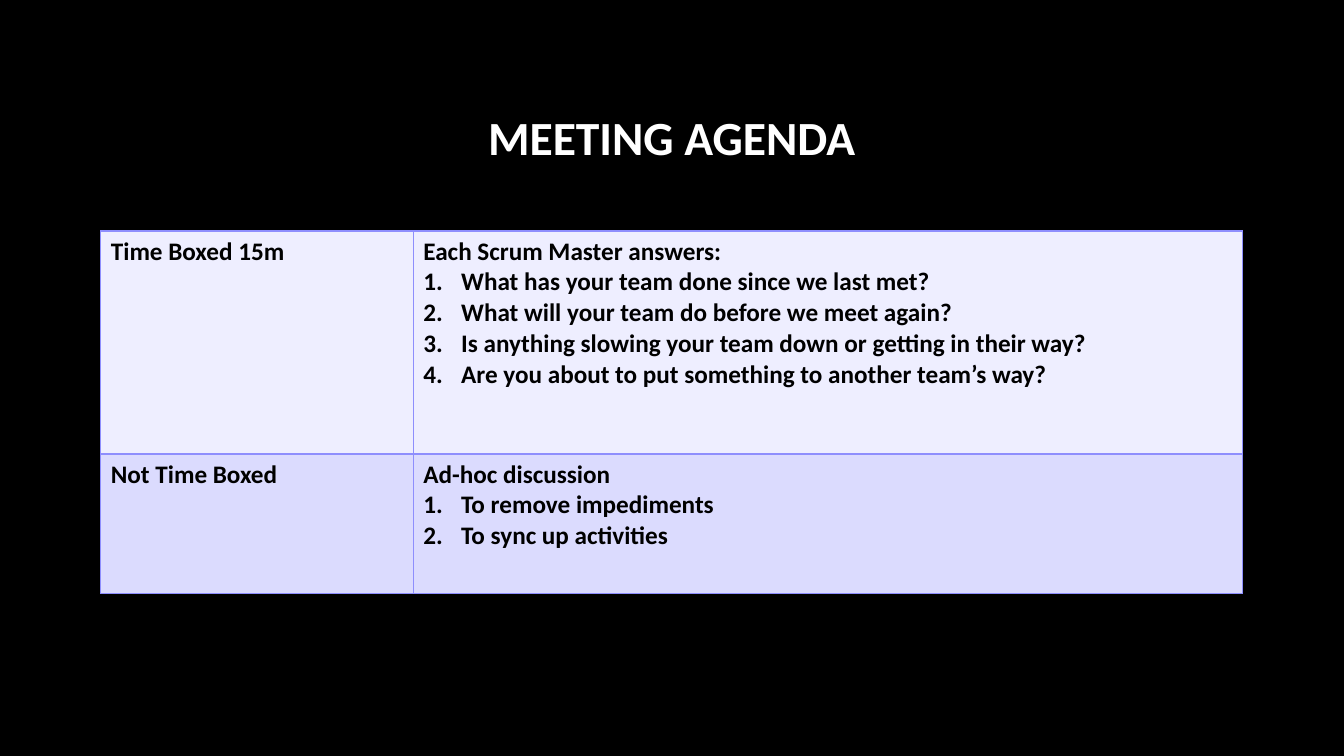
from lxml import etree
from pptx import Presentation
from pptx.dml.color import RGBColor
from pptx.enum import text
from pptx.oxml import ns
from pptx.util import Pt

COLORS = {
    "background": "000000",
    "title": "FFFFFF",
    "body": "000000",
    "border": "8E8EFD",
    "timed": "EEEEFF",
    "untimed": "DBDBFE",
}
FONT = "Calibri"
LEFT, WIDTH = 72, 815.5
COLUMN_WIDTHS = (223.2, 592.3)
AGENDA = [
    ("Time Boxed 15m", "Each Scrum Master answers:", [
        "What has your team done since we last met?",
        "What will your team do before we meet again?",
        "Is anything slowing your team down or getting in their way?",
        "Are you about to put something to another team’s way?",
    ], "timed", 159.3),
    ("Not Time Boxed", "Ad-hoc discussion", [
        "To remove impediments",
        "To sync up activities",
    ], "untimed", 99.7),
]


def style(paragraph, size, color):
    for run in paragraph.runs:
        run.font.name = FONT
        run.font.size = Pt(size)
        run.font.bold = True
        run.font.color.rgb = RGBColor.from_string(COLORS[color])


def add_borders(cell):
    """Outline all four sides; call before the fill, which must follow the lines."""
    properties = cell._tc.get_or_add_tcPr()
    for side in ("lnL", "lnR", "lnT", "lnB"):
        line = etree.SubElement(properties, ns.qn(f"a:{side}"), w=str(Pt(1)))
        fill = etree.SubElement(line, ns.qn("a:solidFill"))
        etree.SubElement(fill, ns.qn("a:srgbClr"), val=COLORS["border"])


prs = Presentation()
prs.slide_width, prs.slide_height = Pt(960), Pt(540)
slide = prs.slides.add_slide(prs.slide_layouts[6])
slide.background.fill.solid()
slide.background.fill.fore_color.rgb = RGBColor.from_string(COLORS["background"])

title = slide.shapes.add_textbox(Pt(LEFT), Pt(48), Pt(WIDTH), Pt(104.4)).text_frame
title.word_wrap = True
title.vertical_anchor = text.MSO_ANCHOR.MIDDLE
title.text = "MEETING AGENDA"
heading = title.paragraphs[0]
heading.alignment = text.PP_ALIGN.CENTER
heading.line_spacing = 0.9
style(heading, 34, "title")

table = slide.shapes.add_table(
    len(AGENDA), len(COLUMN_WIDTHS), Pt(LEFT), Pt(165), Pt(WIDTH), Pt(259)
).table
table.first_row = False
table.horz_banding = False
for column, width in zip(table.columns, COLUMN_WIDTHS):
    column.width = Pt(width)

for row, (timing, intro, items, fill, height) in enumerate(AGENDA):
    table.rows[row].height = Pt(height)
    for col, lines in enumerate(([timing], [intro, *items])):
        cell = table.cell(row, col)
        add_borders(cell)
        cell.fill.solid()
        cell.fill.fore_color.rgb = RGBColor.from_string(COLORS[fill])
        cell.text_frame.text = "\n".join(lines)
        for index, paragraph in enumerate(cell.text_frame.paragraphs):
            if index > 0:
                p_pr = paragraph._p.get_or_add_pPr()
                p_pr.set("marL", str(Pt(27)))
                p_pr.set("indent", str(Pt(-27)))
                etree.SubElement(p_pr, ns.qn("a:buFont"), typeface="+mj-lt")
                etree.SubElement(p_pr, ns.qn("a:buAutoNum"), type="arabicPeriod")
            style(paragraph, 18, "body")

prs.save("out.pptx")
